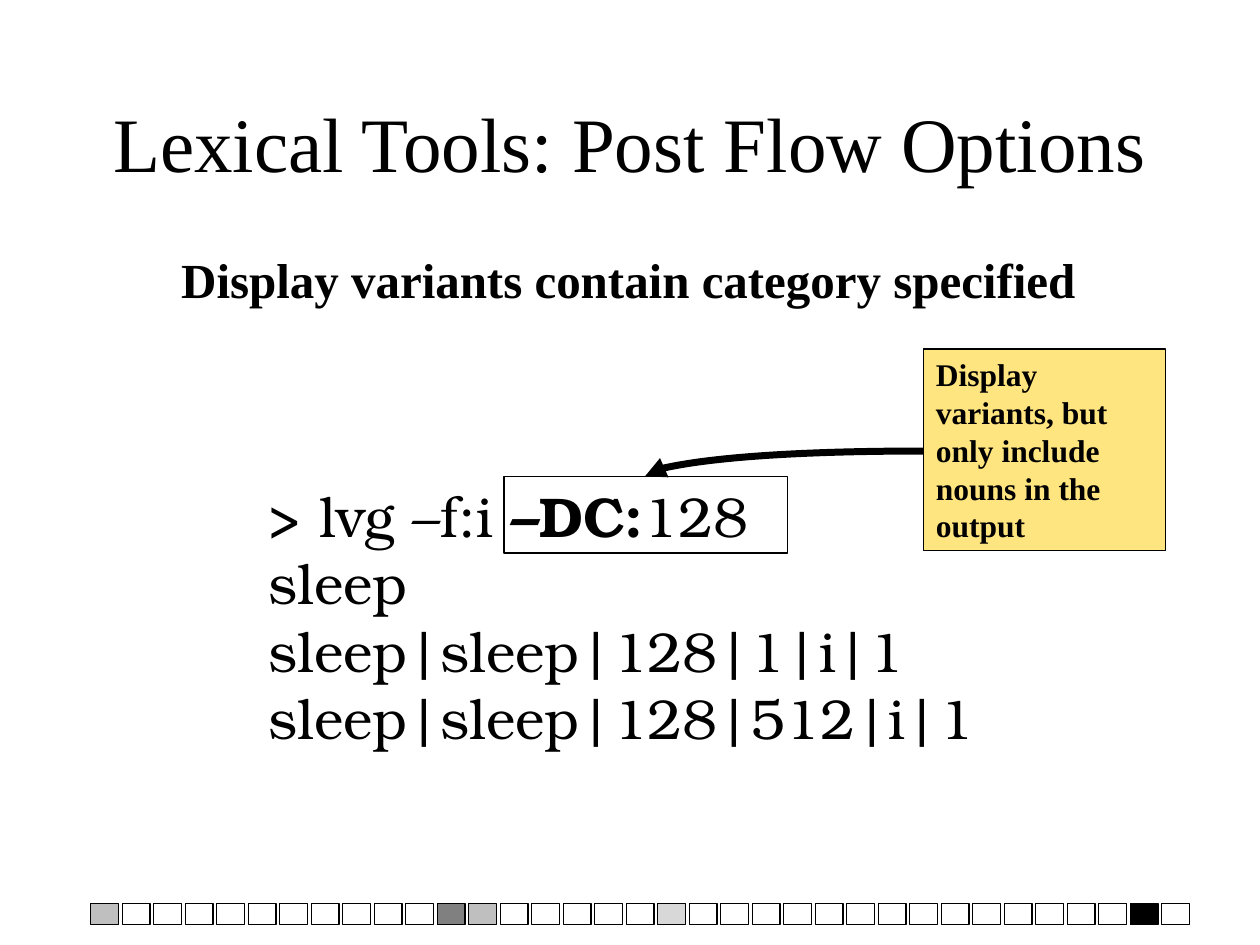
from lxml import etree
from pptx import Presentation
from pptx import util as u
from pptx.dml.color import RGBColor
from pptx.enum import shapes, text
from pptx.oxml.ns import qn

THEME = {
    "ink": "000000", "gray": "808080", "silver": "B2B2B2", "gold": "FFCC00",
    "serif": "Times New Roman", "code": "TeX Gyre Bonum",
    "title": 44, "subtitle": 28, "listing": 32, "note": 18,
    "hairline": 0.75, "arrow": 4,
}

prs = Presentation()
prs.slide_width, prs.slide_height = u.Inches(10), u.Inches(7.5)
COL, ROW = prs.slide_width / 40, prs.slide_height / 30
slide = prs.slides.add_slide(prs.slide_layouts[5])


def grid(col, row, cols, rows):
    """Turn grid units into left, top, width and height."""
    return [round(n * size) for n, size in zip((col, row, cols, rows), (COL, ROW, COL, ROW))]


def add_box(place, fill=None, alpha=100):
    """Add an outlined rectangle, unfilled unless a theme colour is named."""
    box = slide.shapes.add_shape(shapes.MSO_SHAPE.RECTANGLE, *grid(*place))
    box.shadow.inherit = False
    box.line.color.rgb = RGBColor.from_string(THEME["ink"])
    box.line.width = u.Pt(THEME["hairline"])
    if fill is None:
        box.fill.background()
        return box
    box.fill.solid()
    box.fill.fore_color.rgb = RGBColor.from_string(THEME[fill])
    if alpha < 100:
        color = next(box.fill._xPr.iter(qn("a:srgbClr")))
        etree.SubElement(color, qn("a:alpha")).set("val", str(alpha * 1000))
    return box


# Progress strip: one cell per grid column
shaded = {0: ("gray", 50), 11: ("gray",), 12: ("gray", 50), 18: ("silver", 50), 33: ("ink",)}
for step in range(35):
    add_box((2.88 + step, 28.68, 0.88, 0.68), *shaded.get(step, ()))

# Title, subtitle and command listing; the text boxes leave room for their longest line
title = slide.shapes.title
title.left, title.top, title.width, title.height = grid(3, 2, 34, 5)
subtitle = slide.shapes.add_textbox(*grid(5.36, 7.72, 30, 2.28))
listing = slide.shapes.add_textbox(*grid(8.12, 15.08, 25, 8.96))

# Option frame, arrow and its note
add_box((16, 15.12, 9, 2.44))
tip_x, tip_y, tail_x, tail_y = grid(20.48, 15.12, 29.32, 14.32)
arrow = slide.shapes.add_connector(shapes.MSO_CONNECTOR.CURVE, tail_x, tail_y, tip_x, tip_y)
arrow.line.color.rgb = RGBColor.from_string(THEME["ink"])
arrow.line.width = u.Pt(THEME["arrow"])
arrow_props = arrow._element.spPr
arrow_props.find(qn("a:prstGeom")).set("prst", "curvedConnector2")
etree.SubElement(arrow.line._get_or_add_ln(), qn("a:tailEnd")).set("type", "triangle")
etree.SubElement(arrow_props, qn("a:effectLst"))
note = add_box((29.32, 11.08, 7.68, 6.4), "gold", 50)

# Each line is a list of (words, bold) runs
LEFT, CENTER = text.PP_ALIGN.LEFT, text.PP_ALIGN.CENTER
TOP, MIDDLE = text.MSO_ANCHOR.TOP, text.MSO_ANCHOR.MIDDLE
wording = [
    (title, "title", "serif", CENTER, MIDDLE,
     [[("Lexical Tools: Post Flow Options", False)]]),
    (subtitle, "subtitle", "serif", LEFT, TOP,
     [[("Display variants contain category specified", True)]]),
    (listing, "listing", "code", LEFT, MIDDLE,
     [[("> lvg –f:i ", False), ("–DC:", True), ("128", False)],
      [("sleep", False)],
      [("sleep|sleep|128|1|i|1", False)],
      [("sleep|sleep|128|512|i|1", False)]]),
    (note, "note", "serif", LEFT, TOP,
     [[("Display variants, but only include nouns in the output", True)]]),
]
for holder, size, face, align, anchor, lines in wording:
    frame = holder.text_frame
    frame_format = {"vertical_anchor": anchor, "word_wrap": True,
                    "auto_size": text.MSO_AUTO_SIZE.NONE}
    for name, value in frame_format.items():
        setattr(frame, name, value)
    for index, line in enumerate(lines):
        paragraph = frame.add_paragraph() if index else frame.paragraphs[0]
        paragraph.alignment = align
        for words, bold in line:
            run = paragraph.add_run()
            run.text = words
            run_format = {"name": THEME[face], "size": u.Pt(THEME[size]), "bold": bold}
            for name, value in run_format.items():
                setattr(run.font, name, value)
            run.font.color.rgb = RGBColor.from_string(THEME["ink"])

prs.save("out.pptx")
